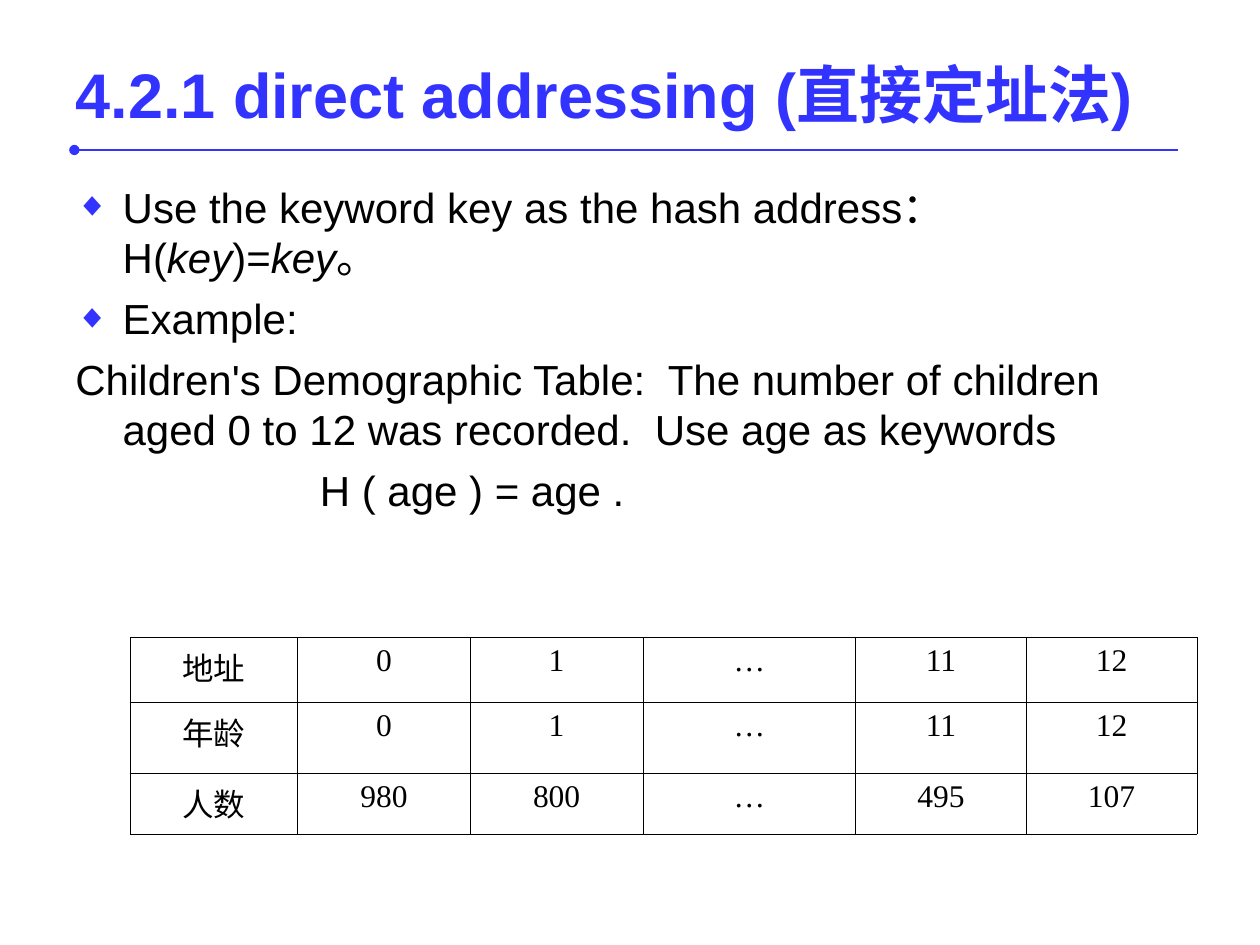
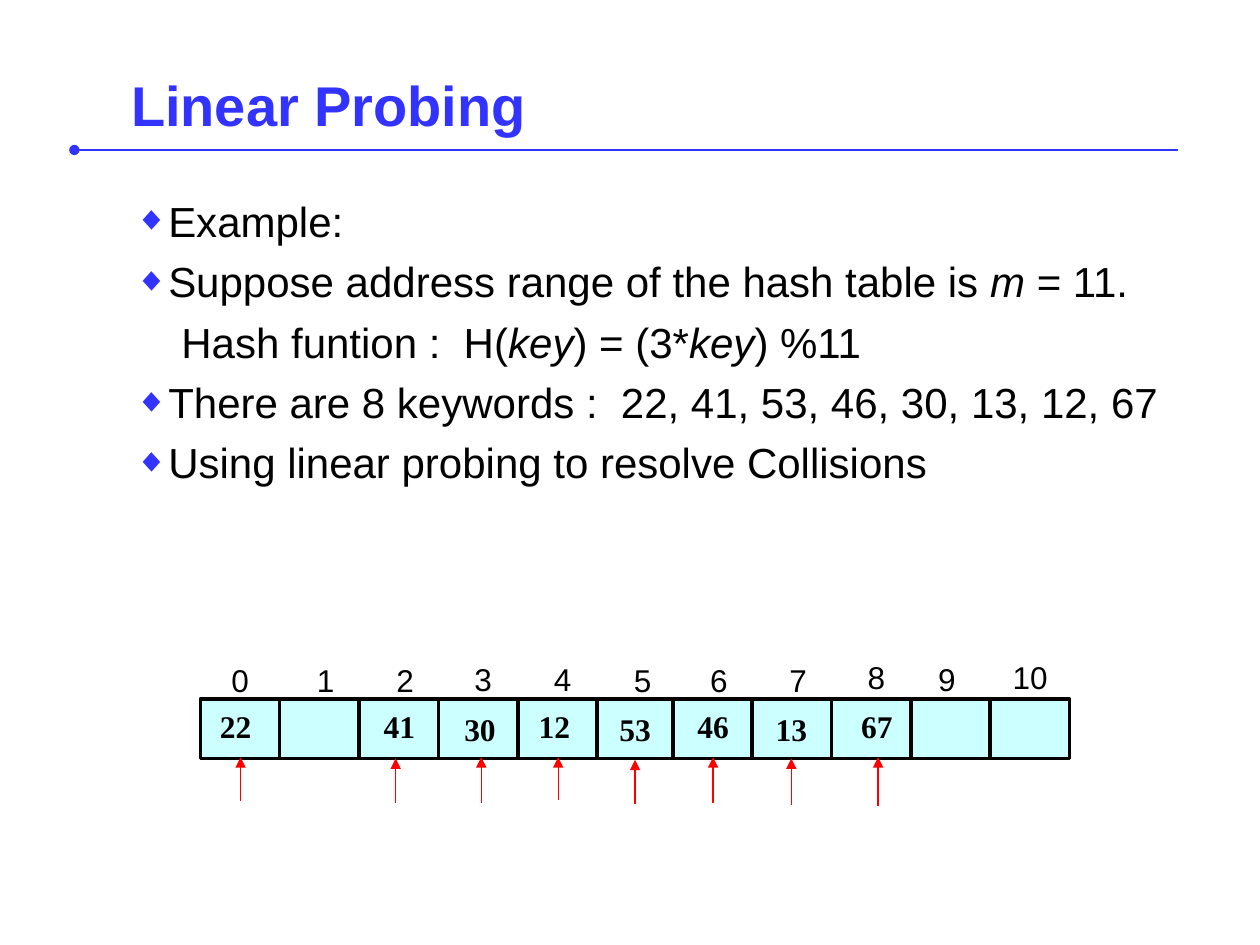
import pptx
import pptx.util
import pptx.dml.color
import pptx.enum.shapes
import pptx.enum.text
import pptx.oxml
import pptx.oxml.ns

Pt = pptx.util.Pt
RGB = pptx.dml.color.RGBColor.from_string
align = pptx.enum.text.PP_ALIGN
anchor = pptx.enum.text.MSO_ANCHOR
form = pptx.enum.shapes
space = pptx.oxml.ns.nsdecls("a")
hues = {"blue": "3333FF", "ink": "000000", "aqua": "CCFFFF", "red": "FF0000"}
looks = {
    "body": {"name": "Arial", "size": Pt(24)},
    "index": {"name": "Arial", "size": Pt(18)},
    "cell": {"name": "Times New Roman", "size": Pt(18)},
    "key": {"name": "Times New Roman", "size": Pt(18), "bold": True},
}


def write(par, text, look, hue="ink"):
    for turn, part in enumerate(text.split("_")):
        if part:
            run = par.add_run()
            run.text = part
            for key, value in look.items():
                setattr(run.font, key, value)
            run.font.italic = turn % 2 == 1
            run.font.color.rgb = RGB(hues[hue])


def draw(slide, ends, hue, width, tip):
    line = slide.shapes.add_connector(form.MSO_CONNECTOR.STRAIGHT, *map(Pt, ends))
    line.line.color.rgb = RGB(hues[hue])
    line.line.width = Pt(width)
    line.line._get_or_add_ln().append(pptx.oxml.parse_xml(f"<a:{tip} {space}/>"))
    line._element.spPr.append(pptx.oxml.parse_xml(f"<a:effectLst {space}/>"))


deck = pptx.Presentation()
deck.slide_width, deck.slide_height = Pt(720), Pt(540)

pages = [
    {
        "title": "4.2.1 direct addressing (直接定址法)", "size": 36,
        "head": (36, 21.6, 648, 63.4),
        "box": (36, 100, 634.3, 204.5), "inset": (7.2, 7.2),
        "gap": {"space_before": Pt(6)},
        "lines": [
            (27, -27, True, "Use the keyword key as the hash address：H(_key_)=_key_。"),
            (27, -27, True, "Example:"),
            (27, -27, False, "Children's Demographic Table:  The number of children aged 0 to 12 was recorded.  Use age as keywords"),
            (139.7, 0, False, "H ( age ) = age ."),
        ],
    },
    {
        "title": "Linear Probing", "size": 32,
        "head": (67.7, 36.7, 304.6, 46),
        "box": (62.6, 102.2, 609.1, 257), "inset": (14.4, 2.9),
        "gap": {"line_spacing": 1.2},
        "lines": [
            (19.2, -19.2, True, "Example:"),
            (19.2, -19.2, True, "Suppose address range of the hash table is _m_ = 11."),
            (26.7, 0, False, "Hash funtion :  H(_key_) = (3*_key_) %11"),
            (19.2, -19.2, True, "There are 8 keywords :  22, 41, 53, 46, 30, 13, 12, 67"),
            (19.2, -19.2, True, "Using linear probing to resolve Collisions"),
        ],
    },
]

for page in pages:
    slide = deck.slides.add_slide(deck.slide_layouts[5])
    draw(slide, (42.5, 85.7, 673.2, 85.7), "blue", 1.5, 'headEnd type="oval"')

    title = slide.shapes.title
    title.left, title.top, title.width, title.height = map(Pt, page["head"])
    frame = title.text_frame
    frame.auto_size = pptx.enum.text.MSO_AUTO_SIZE.NONE
    frame.vertical_anchor = anchor.MIDDLE
    frame.paragraphs[0].alignment = align.LEFT
    write(frame.paragraphs[0], page["title"],
          {"name": "Arial", "size": Pt(page["size"]), "bold": True}, "blue")

    frame = slide.shapes.add_textbox(*map(Pt, page["box"])).text_frame
    frame.word_wrap = True
    frame.margin_left, frame.margin_right = map(Pt, page["inset"])
    for row, (left, hang, mark, text) in enumerate(page["lines"]):
        par = frame.add_paragraph() if row else frame.paragraphs[0]
        for key, value in page["gap"].items():
            setattr(par, key, value)
        props = par._p.get_or_add_pPr()
        props.set("marL", str(int(Pt(left))))
        props.set("indent", str(int(Pt(hang))))
        if mark:
            for xml in (f'<a:buClr {space}><a:srgbClr val="{hues["blue"]}"/></a:buClr>',
                        f'<a:buSzPct {space} val="80000"/>',
                        f'<a:buFont {space} typeface="Arial"/>',
                        f'<a:buChar {space} char="◆"/>'):
                props.append(pptx.oxml.parse_xml(xml))
        write(par, text, looks["body"])

first, second = deck.slides

rows = [
    ("地址", "0", "1", "…", "11", "12"),
    ("年龄", "0", "1", "…", "11", "12"),
    ("人数", "980", "800", "…", "495", "107"),
]
table = first.shapes.add_table(3, 6, Pt(74.2), Pt(364.3), Pt(609.8), Pt(112.3)).table
table.first_row = table.horz_banding = False
for col, width in zip(table.columns, (96, 98.6, 98.6, 121.6, 97.5, 97.5)):
    col.width = Pt(width)
for row, height, words in zip(table.rows, (37.1, 40.6, 34.6), rows):
    row.height = Pt(height)
    for cell, word in zip(row.cells, words):
        cell.fill.background()
        par = cell.text_frame.paragraphs[0]
        par.alignment = align.CENTER
        write(par, word, looks["cell"])
        for spot, side in enumerate("LRTB"):
            cell._tc.get_or_add_tcPr().insert(spot, pptx.oxml.parse_xml(
                f'<a:ln{side} {space} w="{int(Pt(0.45))}"><a:solidFill>'
                f'<a:srgbClr val="{hues["ink"]}"/></a:solidFill></a:ln{side}>'))

for slot in range(11):
    left = 114.5 + 45.36 * slot - (2.2 if slot > 5 else 0)
    cell = second.shapes.add_shape(form.MSO_SHAPE.RECTANGLE, Pt(left), Pt(399.6), Pt(45.36), Pt(33.8))
    cell.shadow.inherit = False
    cell.fill.solid()
    cell.fill.fore_color.rgb = RGB(hues["aqua"])
    cell.line.color.rgb = RGB(hues["ink"])
    cell.line.width = Pt(2)

mids = (137.2, 186.1, 231.5, 276.1, 321.5, 367.2, 410.8, 456.1, 500.8, 541.1, 588.6)
tops = (371.5, 371.5, 371.5, 370.8, 370.8, 371.5, 371.5, 371.5, 370.1, 370.8, 370.1)
tags = [(str(slot), mid, top, "index") for slot, (mid, top) in enumerate(zip(mids, tops))]

keys = [
    ("22", 134.6, 398.2, 137.5, 457.9, 432.7),
    ("41", 228.2, 398.2, 226.1, 458.6, 433.4),
    ("30", 274.3, 399.6, 275, 458.6, 432.7),
    ("12", 316.8, 398.2, 319, 457.2, 432.7),
    ("53", 362.9, 399.6, 362.9, 459.4, 434.2),
    ("46", 407.5, 398.2, 407.5, 458.6, 432.7),
    ("13", 452.2, 399.6, 452.2, 460.1, 433.4),
    ("67", 501.1, 398.2, 501.8, 460.8, 432.7),
]
for text, mid, top, stem, low, high in keys:
    tags.append((text, mid, top, "key"))
    draw(second, (stem, low, stem, high), "red", 0.75, 'tailEnd type="triangle"')

for text, mid, top, look in tags:
    frame = second.shapes.add_textbox(Pt(mid - 22.5), Pt(top), Pt(45), Pt(33.8)).text_frame
    frame.word_wrap = False
    frame.vertical_anchor = anchor.MIDDLE
    frame.paragraphs[0].alignment = align.CENTER
    write(frame.paragraphs[0], text, looks[look])

deck.save("out.pptx")
